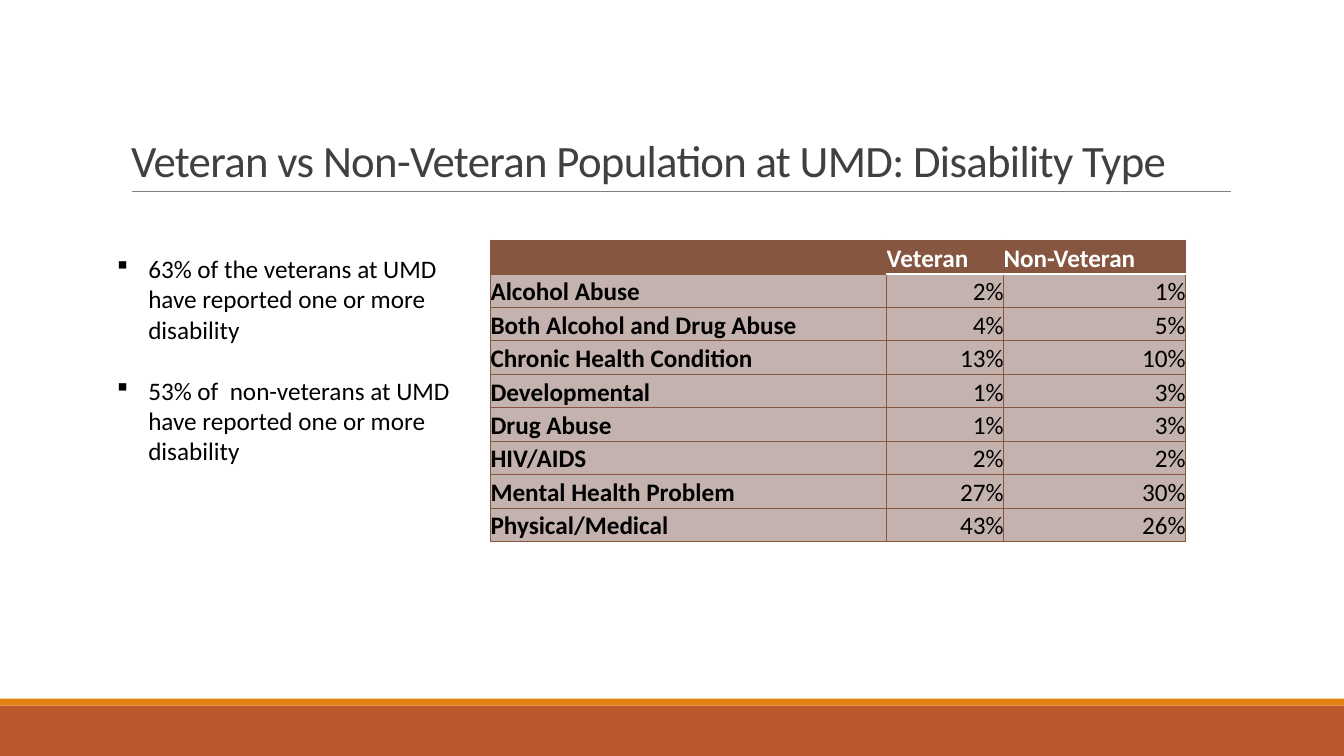
from lxml.etree import SubElement
from pptx import Presentation
from pptx.dml.color import RGBColor
from pptx.enum.shapes import MSO_CONNECTOR as CONN, MSO_SHAPE as SHAPE
from pptx.enum.text import MSO_ANCHOR as ANCHOR, MSO_AUTO_SIZE as AUTO, PP_ALIGN as ALIGN
from pptx.oxml.ns import qn
from pptx.util import Pt

TITLE = "Veteran vs Non-Veteran Population at UMD: Disability Type"
BULLETS = [
    "63% of the veterans at UMD have reported one or more disability",
    "53% of  non-veterans at UMD have reported one or more disability",
]
ROWS = [
    ("", "Veteran", "Non-Veteran"),
    ("Alcohol Abuse", "2%", "1%"),
    ("Both Alcohol and Drug Abuse", "4%", "5%"),
    ("Chronic Health Condition", "13%", "10%"),
    ("Developmental", "1%", "3%"),
    ("Drug Abuse", "1%", "3%"),
    ("HIV/AIDS", "2%", "2%"),
    ("Mental Health Problem", "27%", "30%"),
    ("Physical/Medical", "43%", "26%"),
]
COL_WIDTHS = [283, 83.5, 130]
ROW_HEIGHT = 23.9
BANDS = [(504, 36, "BD582C"), (499, 5, "E48312")]
BROWN, TAUPE, WHITE, BLACK = "865640", "C4B2AE", "FFFFFF", "000000"
WIDTH, HEIGHT = 960, 540


def rgb(color):
    return RGBColor.from_string(color)


def add_run(p, text, size, color, bold=False):
    r = p.add_run()
    r.text = text
    f = r.font
    f.name, f.size, f.bold = "Calibri", Pt(size), bold
    f.color.rgb = rgb(color)
    return r


def add_border(cell, side, color, width):
    ln = SubElement(cell._tc.get_or_add_tcPr(), qn("a:" + side), w=str(Pt(width)))
    fill = SubElement(ln, qn("a:solidFill"))
    SubElement(fill, qn("a:srgbClr"), val=color)


def format_cell(cell, text, row, col):
    header = row == 0
    cell.margin_left = cell.margin_right = cell.margin_top = cell.margin_bottom = 0
    cell.vertical_anchor = ANCHOR.BOTTOM
    p = cell.text_frame.paragraphs[0]
    p.alignment = ALIGN.LEFT if header or col == 0 else ALIGN.RIGHT
    if text:
        add_run(p, text, 18, WHITE if header else BLACK, header or col == 0)
    white_side = {0: "lnB", 1: "lnT"}.get(row) if col else None
    for side in ("lnL", "lnR", "lnT", "lnB"):
        if side == white_side:
            add_border(cell, side, WHITE, 1.25)
        else:
            add_border(cell, side, BROWN, 1)
    cell.fill.solid()
    cell.fill.fore_color.rgb = rgb(BROWN if header else TAUPE)


prs = Presentation()
prs.slide_width, prs.slide_height = Pt(WIDTH), Pt(HEIGHT)
s = prs.slides.add_slide(prs.slide_layouts[5])

for top, height, color in BANDS:
    band = s.shapes.add_shape(SHAPE.RECTANGLE, 0, Pt(top), Pt(WIDTH), Pt(height))
    band.shadow.inherit = False
    band.fill.solid()
    band.fill.fore_color.rgb = rgb(color)
    band.line.fill.background()

rule = s.shapes.add_connector(CONN.STRAIGHT, Pt(94.2), Pt(136.8), Pt(879), Pt(136.8))
rule.line.color.rgb = rgb("808080")
rule.line.width = Pt(0.5)
SubElement(rule._element.spPr, qn("a:effectLst"))

title = s.shapes.title
title.left, title.top, title.width, title.height = Pt(86.4), Pt(22.6), Pt(792), Pt(114.2)
tf = title.text_frame
tf.word_wrap, tf.auto_size, tf.vertical_anchor = True, AUTO.NONE, ANCHOR.BOTTOM
p = tf.paragraphs[0]
p.alignment, p.line_spacing = ALIGN.LEFT, 0.85
r = add_run(p, TITLE, 32, "404040")
r.font._element.set("spc", "-50")

sp = s.shapes.add_textbox(Pt(76.3), Pt(155.5), Pt(253.4), Pt(225.4))
tf = sp.text_frame
tf.word_wrap, tf.margin_top = True, Pt(25.6)
for i, text in enumerate(BULLETS):
    p = tf.add_paragraph() if i else tf.paragraphs[0]
    p.space_before = Pt(22 if i else 0)
    pPr = p._p.get_or_add_pPr()
    pPr.set("marL", str(Pt(22.5)))
    pPr.set("indent", str(-Pt(22.5)))
    SubElement(pPr, qn("a:buFont"), typeface="Wingdings")
    SubElement(pPr, qn("a:buChar"), char="§")
    add_run(p, text, 18, BLACK)

frame = s.shapes.add_table(len(ROWS), len(COL_WIDTHS), Pt(350.4), Pt(171.8),
                           Pt(sum(COL_WIDTHS)), Pt(ROW_HEIGHT * len(ROWS)))
table = frame.table
for column, width in zip(table.columns, COL_WIDTHS):
    column.width = Pt(width)
for i, row in enumerate(ROWS):
    table.rows[i].height = Pt(ROW_HEIGHT)
    for j, text in enumerate(row):
        format_cell(table.cell(i, j), text, i, j)

prs.save("out.pptx")
